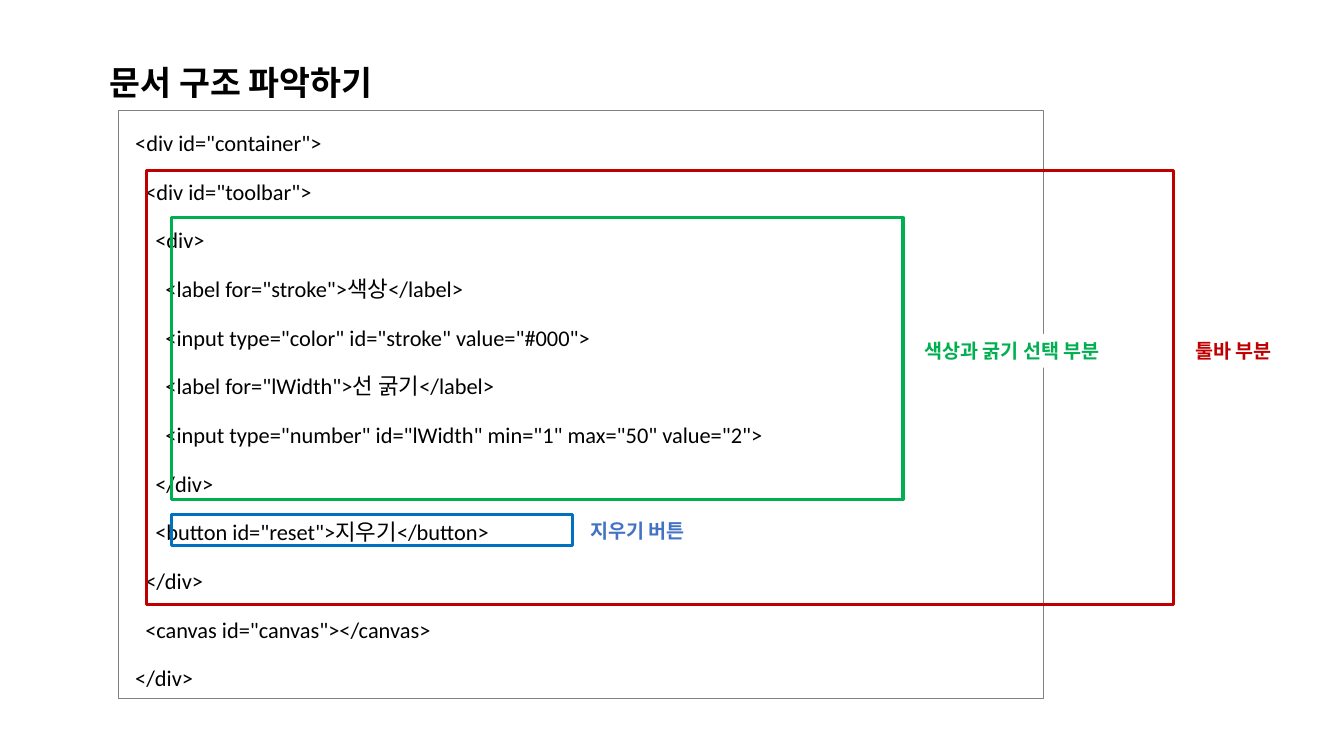
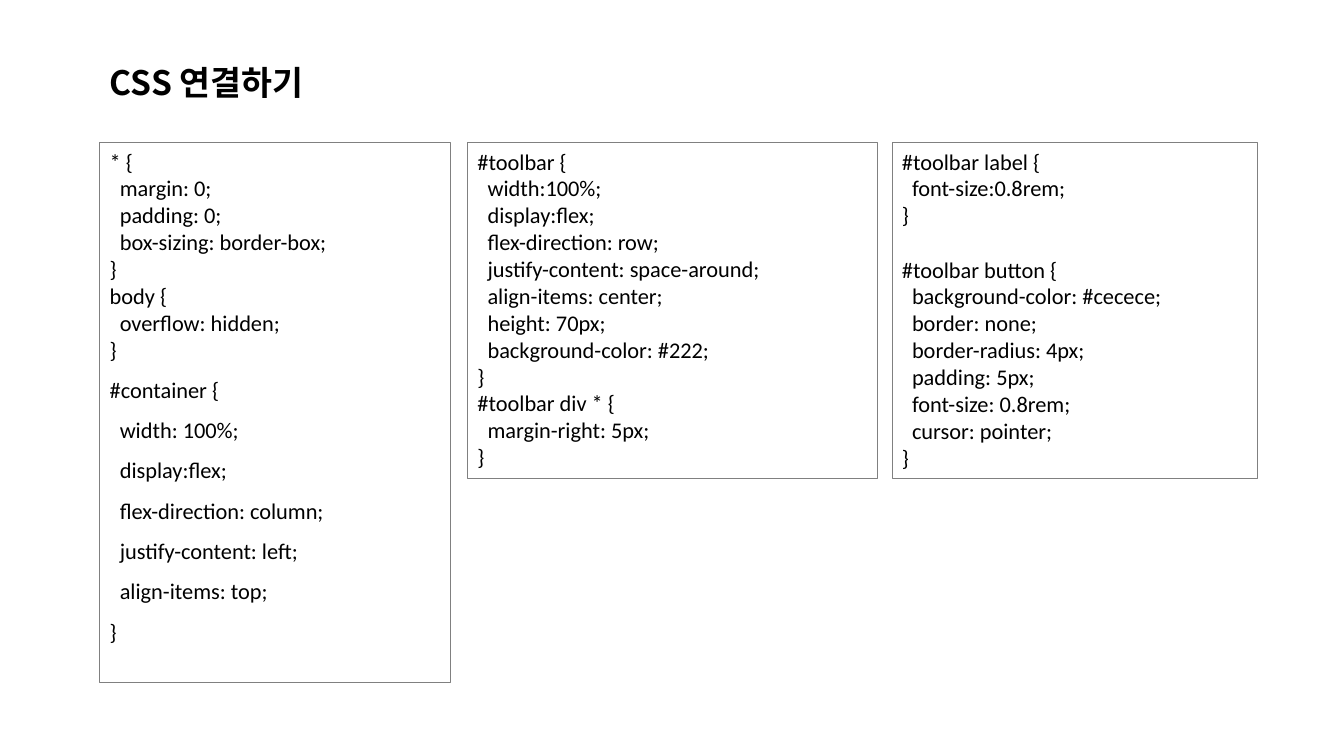
import dataclasses

import lxml.etree
import pptx
import pptx.dml.color
import pptx.enum.shapes
import pptx.enum.text
import pptx.oxml.ns
import pptx.util

Pt = pptx.util.Pt


@dataclasses.dataclass(frozen=True)
class Theme:
    black: str = "000000"
    white: str = "FFFFFF"
    border: str = "808080"
    red: str = "C00000"
    green: str = "00B050"
    blue: str = "0070C0"
    blue_label: str = "4472C4"
    korean_font: str = "Noto Sans CJK KR"
    code_font: str = "Calibri"
    title_size: float = 24
    code_size: float = 16
    label_size: float = 14
    border_width: float = 0.75
    frame_width: float = 2.25
    indent_step: float = 7.2


@dataclasses.dataclass(frozen=True)
class Block:
    code: str
    line_spacing: float = 1.0
    around: float = 0
    gap_before: float = 0
    margin: float = 0


THEME = Theme()

HTML = """
<div id="container">
  <div id="toolbar">
    <div>
      <label for="stroke">색상</label>
      <input type="color" id="stroke" value="#000">
      <label for="lWidth">선 굵기</label>
      <input type="number" id="lWidth" min="1" max="50" value="2">
    </div>
    <button id="reset">지우기</button>
  </div>
  <canvas id="canvas"></canvas>
</div>
"""

CSS_PAGE = """
* {
  margin: 0;
  padding: 0;
  box-sizing: border-box;
}
body {
  overflow: hidden;
}
"""

CSS_CONTAINER = """
#container {
  width: 100%;
  display:flex;
  flex-direction: column;
  justify-content: left;
  align-items: top;
}
"""

CSS_TOOLBAR = """
#toolbar {
  width:100%;
  display:flex;
  flex-direction: row;
  justify-content: space-around;
  align-items: center;
  height: 70px;
  background-color: #222;
}
#toolbar div * {
  margin-right: 5px;
}
"""

CSS_LABEL = """
#toolbar label {
  font-size:0.8rem;
}
"""

CSS_BUTTON = """
#toolbar button {
  background-color: #cecece;
  border: none;
  border-radius: 4px;
  padding: 5px;
  font-size: 0.8rem;
  cursor: pointer;
}
"""


def rgb(color):
    return pptx.dml.color.RGBColor.from_string(color)


def set_line(shape, color, width):
    shape.line.color.rgb = rgb(color)
    shape.line.width = Pt(width)


def set_font(p, size, color, name, bold=False):
    font = p.font
    font.size = Pt(size)
    font.bold = bold
    font.color.rgb = rgb(color)
    font.name = name
    ea = lxml.etree.SubElement(font._element, pptx.oxml.ns.qn("a:ea"))
    ea.set("typeface", THEME.korean_font)


def add_text_box(s, left, top, width, height):
    box = s.shapes.add_textbox(Pt(left), Pt(top), Pt(width), Pt(height))
    box.text_frame.word_wrap = True
    box.text_frame.vertical_anchor = pptx.enum.text.MSO_ANCHOR.TOP
    return box


def add_heading(s, text, bounds, size, color):
    box = add_text_box(s, *bounds)
    p = box.text_frame.paragraphs[0]
    p.text = text
    set_font(p, size, color, THEME.korean_font, bold=True)
    return box


def add_titled_slide(prs, title):
    s = prs.slides.add_slide(prs.slide_layouts[6])
    add_heading(s, title, (71.3, 41, 525.6, 36), THEME.title_size, THEME.black)
    return s


def add_code_box(s, bounds, blocks):
    box = add_text_box(s, *bounds)
    set_line(box, THEME.border, THEME.border_width)
    tf = box.text_frame
    p = tf.paragraphs[0]
    for block in blocks:
        for number, line in enumerate(block.code.strip().splitlines()):
            if p is None:
                p = tf.add_paragraph()
            code = line.lstrip()
            level = (len(line) - len(code)) // 2
            p.text = code
            p.line_spacing = block.line_spacing
            p.space_before = Pt(block.around if number else block.around + block.gap_before)
            p.space_after = Pt(block.around)
            pPr = p._p.get_or_add_pPr()
            pPr.set("marL", str(Pt(block.margin + level * THEME.indent_step)))
            pPr.set("indent", "0")
            set_font(p, THEME.code_size, THEME.black, THEME.code_font)
            p = None


def add_frame(s, bounds, color):
    rectangle = pptx.enum.shapes.MSO_SHAPE.RECTANGLE
    frame = s.shapes.add_shape(rectangle, *map(Pt, bounds))
    frame.shadow.inherit = False
    frame.fill.background()
    set_line(frame, color, THEME.frame_width)


def add_label(s, text, bounds, color, filled=True):
    box = add_heading(s, text, bounds, THEME.label_size, color)
    if filled:
        box.fill.solid()
        box.fill.fore_color.rgb = rgb(THEME.white)


def build_structure_slide(prs):
    s = add_titled_slide(prs, "문서 구조 파악하기")
    html = Block(HTML, line_spacing=1.5, around=3, margin=5)
    add_code_box(s, (84.5, 79, 661, 420), [html])
    add_frame(s, (122.4, 367.2, 286.6, 22.6), THEME.blue)
    add_label(s, "지우기 버튼", (414.5, 367.2, 90, 24.2), THEME.blue_label, filled=False)
    add_frame(s, (122.4, 155.5, 522.7, 201), THEME.green)
    add_label(s, "색상과 굵기 선택 부분", (653, 238.5, 156.2, 24.2), THEME.green)
    add_frame(s, (104.4, 121.5, 733.7, 310.3), THEME.red)
    add_label(s, "툴바 부분", (846.7, 238.5, 76.3, 24.2), THEME.red)


def build_css_slide(prs):
    s = add_titled_slide(prs, "CSS 연결하기")
    columns = [
        (71.3, 250.6, 385.5, [Block(CSS_PAGE), Block(CSS_CONTAINER, line_spacing=1.5)]),
        (334, 293, 240, [Block(CSS_TOOLBAR)]),
        (637.2, 261.4, 240, [Block(CSS_LABEL), Block(CSS_BUTTON, gap_before=19.5)]),
    ]
    for left, width, height, blocks in columns:
        add_code_box(s, (left, 102, width, height), blocks)


def main():
    prs = pptx.Presentation()
    prs.slide_width, prs.slide_height = Pt(960), Pt(540)
    build_structure_slide(prs)
    build_css_slide(prs)
    prs.save("out.pptx")


if __name__ == "__main__":
    main()
